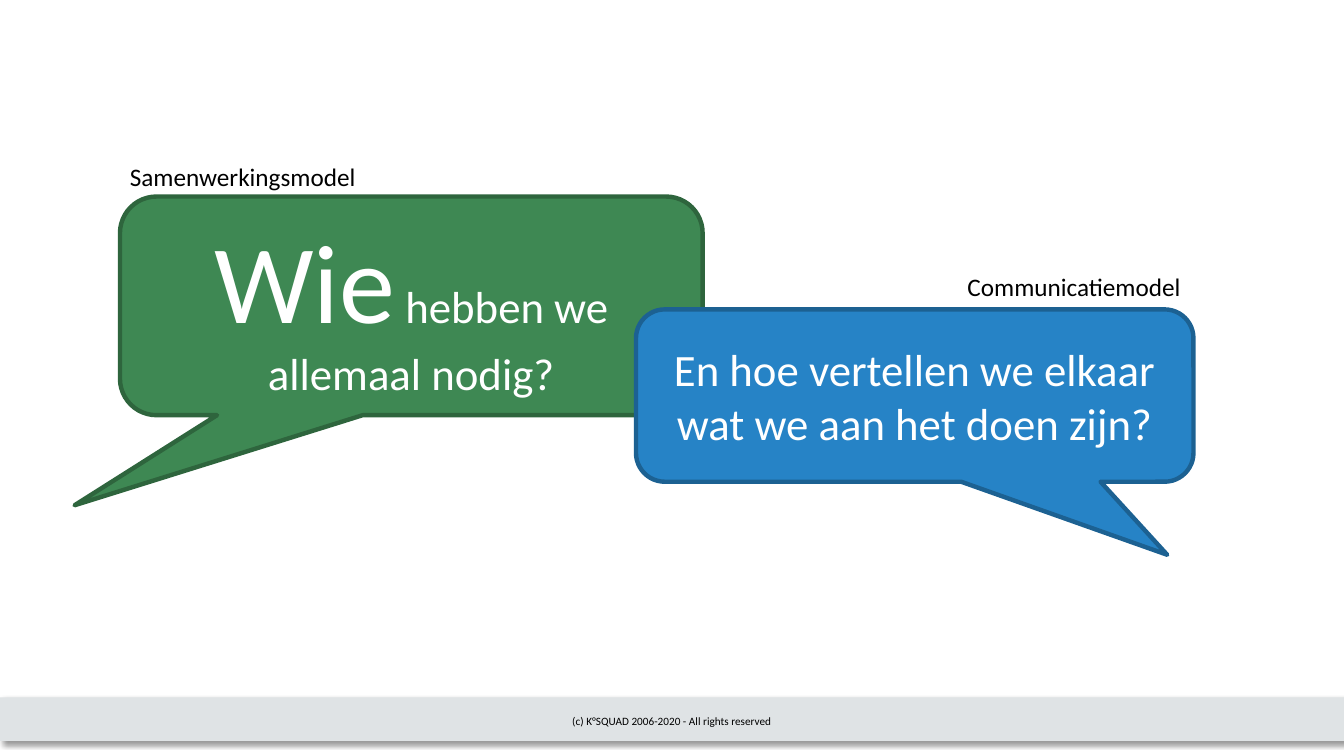
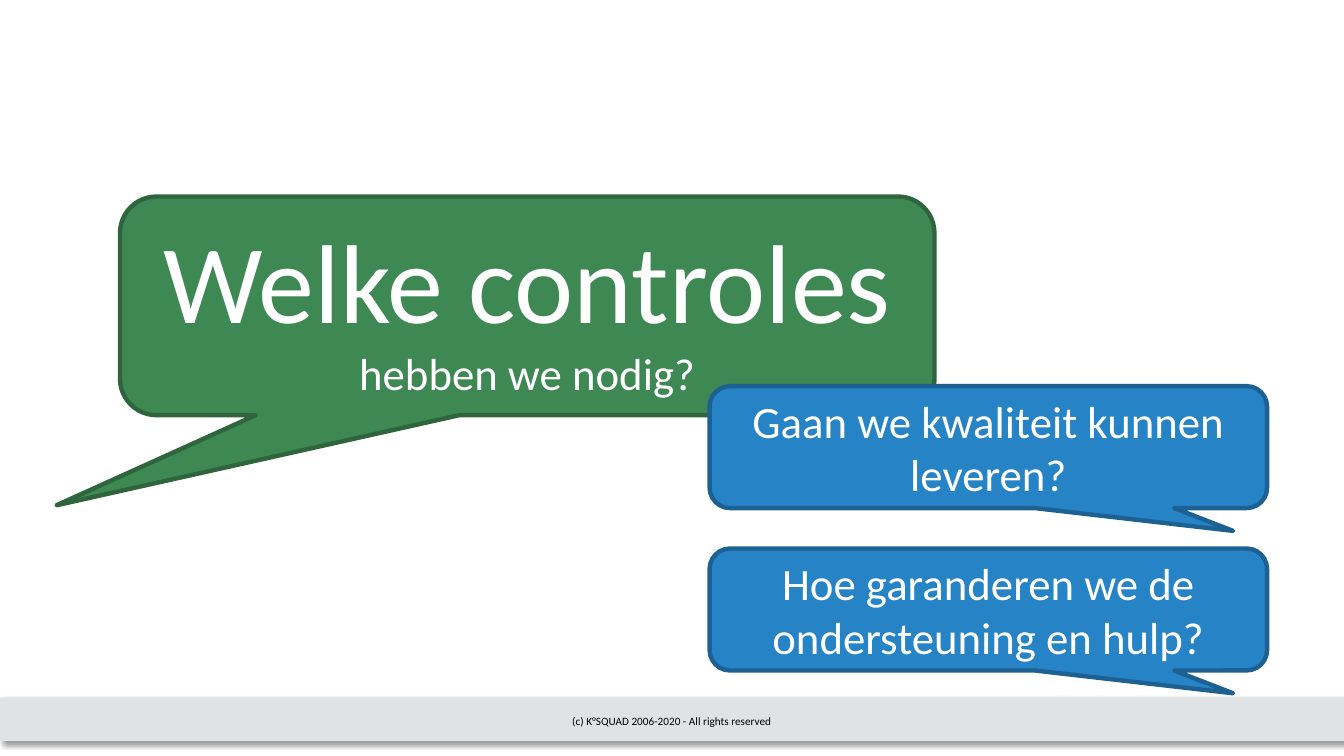
from dataclasses import dataclass

from lxml import etree
from pptx import Presentation
from pptx.dml.color import RGBColor
from pptx.enum.shapes import MSO_SHAPE
from pptx.enum.text import MSO_ANCHOR, PP_ALIGN
from pptx.oxml.ns import qn
from pptx.util import Pt

RECTANGLE = MSO_SHAPE.RECTANGLE
CALLOUT = MSO_SHAPE.ROUNDED_RECTANGULAR_CALLOUT
MIDDLE, TOP = MSO_ANCHOR.MIDDLE, MSO_ANCHOR.TOP
CENTER, LEFT = PP_ALIGN.CENTER, PP_ALIGN.LEFT


@dataclass(frozen=True)
class Theme:
    font: str = "Calibri"
    black: str = "000000"
    white: str = "FFFFFF"
    band: str = "DFE3E5"
    green: tuple = ("3E8853", "2E653D")  # fill, outline
    blue: tuple = ("2683C6", "1C6192")
    outline: float = 3.15
    huge: int = 80
    large: int = 32
    label: int = 18
    small: int = 8


THEME = Theme()
PAGE_WIDTH, PAGE_HEIGHT = 960, 540
FOOTER = "(c) K°SQUAD 2006-2020 - All rights reserved"
FOOTER_BOX = (0, 498.2, PAGE_WIDTH, 31)
CORNER = 0.167
LABEL_HEIGHT = 28.8


def points(box):
    return [Pt(value) for value in box]


def paint(shape, fill, outline=None):
    shape.fill.solid()
    shape.fill.fore_color.rgb = RGBColor.from_string(fill)
    if outline:
        shape.line.color.rgb = RGBColor.from_string(outline)
        shape.line.width = Pt(THEME.outline)
    else:
        shape.line.fill.background()
    shape.shadow.inherit = False


def write(shape, spans, color, align=CENTER, anchor=MIDDLE, wrap=True):
    """Fill one paragraph with (text, size) spans."""
    frame = shape.text_frame
    frame.word_wrap = wrap
    frame.vertical_anchor = anchor
    para = frame.paragraphs[0]
    para.alignment = align
    for text, size in spans:
        span = para.add_run()
        span.text = text
        span.font.name = THEME.font
        span.font.size = Pt(size)
        span.font.color.rgb = RGBColor.from_string(color)


def add_shadow(shape, blur, distance, angle, opacity):
    effects = shape._element.spPr.find(qn("a:effectLst"))
    shadow = etree.SubElement(effects, qn("a:outerShdw"), {
        "blurRad": str(Pt(blur)), "dist": str(Pt(distance)),
        "dir": str(angle * 60000), "algn": "tl", "rotWithShape": "0"})
    color = etree.SubElement(shadow, qn("a:srgbClr"), val=THEME.black)
    etree.SubElement(color, qn("a:alpha"), val=str(opacity * 1000))


def add_footer(page, box):
    """Shadowed band with the copyright line centred on it."""
    left, top, width, height = box
    band = page.shapes.add_shape(RECTANGLE, *points(box))
    paint(band, THEME.band)
    add_shadow(band, blur=4, distance=3, angle=45, opacity=40)

    text_width = 324
    text_left = left + (width - text_width) / 2
    line = page.shapes.add_textbox(
        *points((text_left, top + 2.2, text_width, height - 2.2)))
    write(line, [(FOOTER, THEME.small)], THEME.black)


def add_callout(page, box, tail, colors, spans):
    """Speech balloon; tail is its tip, as shares of the box from the centre."""
    balloon = page.shapes.add_shape(CALLOUT, *points(box))
    for index, value in enumerate((*tail, CORNER)):
        balloon.adjustments[index] = value
    paint(balloon, *colors)
    write(balloon, spans, THEME.white)


def add_label(page, left, bottom, width, text):
    """Caption standing on the given bottom line."""
    box = (left, bottom - LABEL_HEIGHT, width, LABEL_HEIGHT)
    label = page.shapes.add_textbox(*points(box))
    write(label, [(text, THEME.label)], THEME.black, LEFT, TOP, wrap=False)


def add_question(page, width, lead, rest):
    """Green main question, with its first words enlarged."""
    box = (85.7, 140.4, width, 156.2)
    add_callout(page, box, (-0.578, 0.912), THEME.green,
                [(lead, THEME.huge), (rest, THEME.large)])
    return box


def add_reply(page, box, tail, text):
    """Blue follow-up question."""
    add_callout(page, box, tail, THEME.blue, [(text, THEME.large)])


def new_page(deck):
    page = deck.slides.add_slide(deck.slide_layouts[6])
    add_footer(page, FOOTER_BOX)
    return page


def build_models(deck):
    page = new_page(deck)
    left, top, _, _ = add_question(
        page, 416.2, "Wie", " hebben we allemaal nodig?")
    reply = (454.3, 221, 398.2, 123.1)
    add_reply(page, reply, (0.453, 0.924),
              "En hoe vertellen we elkaar wat we aan het doen zijn?")

    # Captions: one flush left, one flush right with its balloon
    add_label(page, left, top, 177.1, "Samenwerkingsmodel")
    width = 168.5
    add_label(page, reply[0] + reply[2] - width, reply[1] - 2, width,
              "Communicatiemodel")


def build_controls(deck):
    page = new_page(deck)
    add_question(page, 581.8, "Welke controles", " hebben we nodig?")

    # Stack of replies
    first_top, step = 275.8, 116
    replies = ("Gaan we kwaliteit kunnen leveren?",
               "Hoe garanderen we de ondersteuning en hulp?")
    for row, text in enumerate(replies):
        box = (506.9, first_top + row * step, 398.2, 87.1)
        add_reply(page, box, (0.439, 0.687), text)


def main():
    deck = Presentation()
    deck.slide_width, deck.slide_height = Pt(PAGE_WIDTH), Pt(PAGE_HEIGHT)
    build_models(deck)
    build_controls(deck)
    deck.save("out.pptx")


if __name__ == "__main__":
    main()
